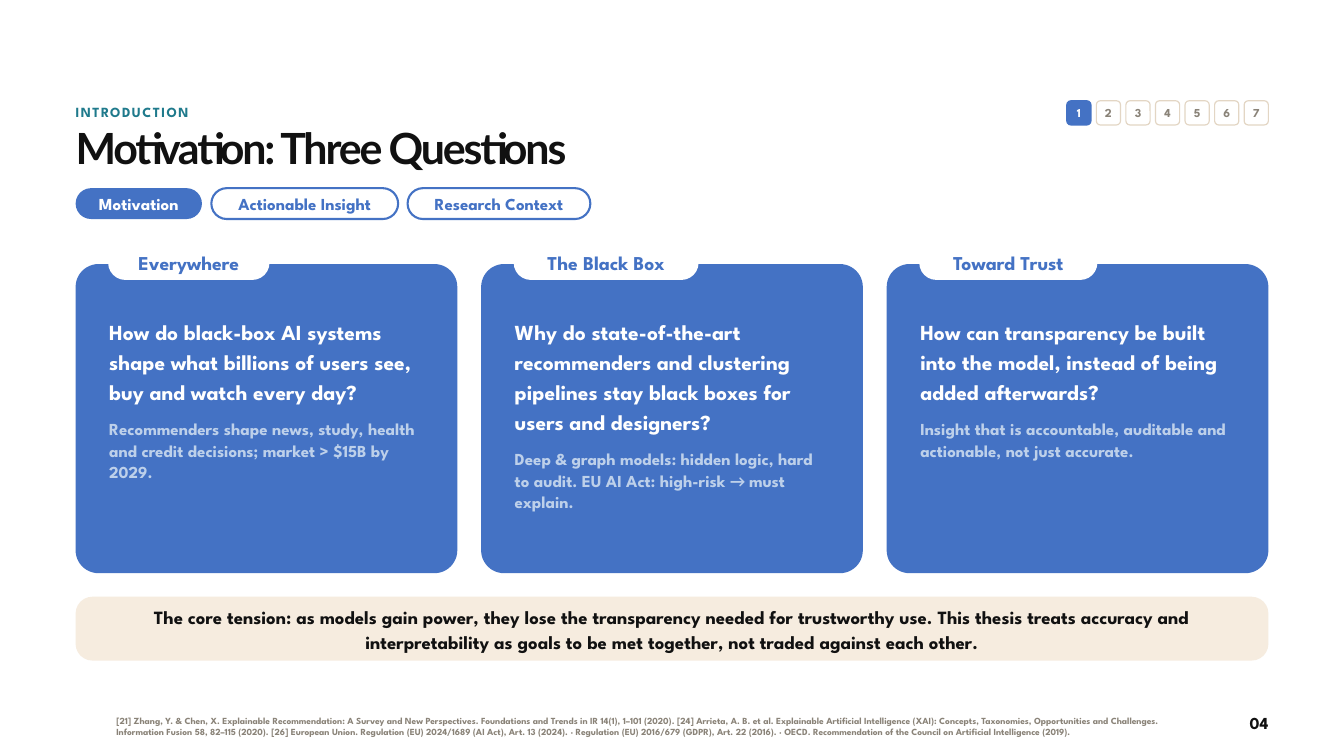
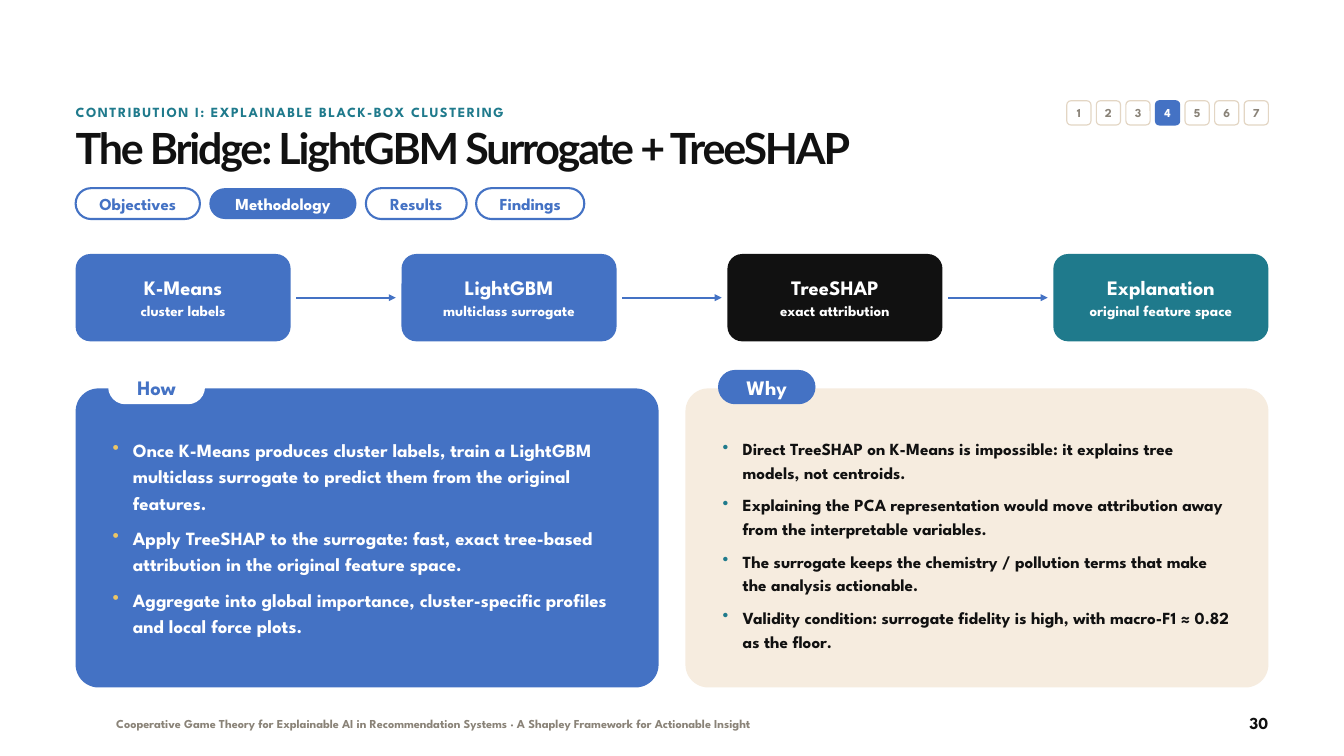
from dataclasses import dataclass

from lxml import etree
from pptx import Presentation
from pptx import util as u
from pptx.dml.color import RGBColor
from pptx.enum import shapes, text
from pptx.oxml import ns

COLORS = {
    "blue": "4472C4", "pale_blue": "BDD0EA", "teal": "1F7A8C", "gold": "ECC665",
    "cream": "F6ECDF", "sand": "E3D6C4", "grey": "8A8378", "ink": "111111", "white": "FFFFFF",
}
SLIDE_WIDTH, SLIDE_HEIGHT = u.Inches(20), u.Inches(11.25)
COLUMNS = 160  # square grid: 160 columns by 90 rows
UNIT = SLIDE_WIDTH / COLUMNS
MARGIN, CONTENT_WIDTH = 9, 142
BODY_FONT, TITLE_FONT, ARROW_FONT = "League Spartan", "Lato", "Calibri"
ARROW = "→ "
SECTIONS = 7
CENTER, RIGHT = text.PP_ALIGN.CENTER, text.PP_ALIGN.RIGHT
MIDDLE = text.MSO_ANCHOR.MIDDLE


def style(size, leading, color, alignment=None, before=0, name=BODY_FONT, tracking=0, bullet=None):
    return {
        "font": {"size": u.Pt(size), "name": name, "bold": True},
        "paragraph": {"line_spacing": u.Pt(leading), "space_before": u.Pt(before),
                      "alignment": alignment},
        "color": color, "tracking": tracking, "bullet": bullet,
    }


KICKER = style(15, 20, "teal", tracking=1.6)
TITLE = style(46, 50.6, "ink", name=TITLE_FONT, tracking=-2.3)
PAGE_NUMBER = style(18, 22, "ink", RIGHT)
REFERENCES = style(10, 12, "grey")
RUNNING_FOOTER = style(13, 16, "grey")
QUESTION = style(23, 32.2, "white")
ANSWER = style(18, 23, "pale_blue", before=14)
TAKEAWAY = style(20, 26, "ink", CENTER)
STEP_NAME = style(22, 25.3, "white", CENTER)
STEP_DETAIL = style(16, 19.2, "white", CENTER, before=3)
HOW_ITEM = style(20, 28, "white", before=10, bullet="gold")
WHY_ITEM = style(18.2, 25.5, "ink", before=9.1, bullet="teal")


@dataclass
class Box:
    """A rectangle in grid units."""
    left: float
    top: float
    width: float
    height: float

    def inner(self, left, top, width, height):
        return Box(self.left + left, self.top + top, width, height)

    def row(self, count, gap):
        width = (self.width - gap * (count - 1)) / count
        return [self.inner(i * (width + gap), 0, width, self.height) for i in range(count)]

    def emu(self):
        return [u.Emu(round(n * UNIT)) for n in (self.left, self.top, self.width, self.height)]


CONTENT = Box(MARGIN, 0, CONTENT_WIDTH, 90)


def rgb(name):
    return RGBColor.from_string(COLORS[name])


def apply(target, values):
    for name, value in values.items():
        setattr(target, name, value)


def add_bullet(paragraph, color):
    properties = paragraph._p.get_or_add_pPr()
    properties.set("marL", str(u.Inches(0.3)))
    properties.set("indent", str(-u.Inches(0.3)))
    bullet_color = etree.SubElement(properties, ns.qn("a:buClr"))
    etree.SubElement(bullet_color, ns.qn("a:srgbClr"), val=COLORS[color])
    etree.SubElement(properties, ns.qn("a:buChar"), char="•")


def write(shape, entries, insets=(0, 0), anchor=text.MSO_ANCHOR.TOP):
    """Fill a shape with (wording, style) paragraphs; insets are inches across and down."""
    frame = shape.text_frame
    across, down = map(u.Inches, insets)
    apply(frame, {"word_wrap": True, "vertical_anchor": anchor, "margin_left": across,
                  "margin_right": across, "margin_top": down, "margin_bottom": down})
    for index, (wording, look) in enumerate(entries):
        paragraph = frame.add_paragraph() if index else frame.paragraphs[0]
        if look["bullet"]:
            add_bullet(paragraph, look["bullet"])
        apply(paragraph, look["paragraph"])
        if index == 0:
            paragraph.space_before = u.Pt(0)
        for piece in filter(None, wording.partition(ARROW)):
            run = paragraph.add_run()
            run.text = piece
            apply(run.font, look["font"])
            run.font.color.rgb = rgb(look["color"])
            if piece == ARROW:
                run.font.name = ARROW_FONT
            if look["tracking"]:
                run._r.get_or_add_rPr().set("spc", str(round(look["tracking"] * 100)))


def add_text(slide, box, entries, anchor=text.MSO_ANCHOR.TOP):
    write(slide.shapes.add_textbox(*box.emu()), entries, anchor=anchor)


def add_rounded(slide, box, radius, fill=None, line=None, line_width=2.25):
    shape = slide.shapes.add_shape(shapes.MSO_SHAPE.ROUNDED_RECTANGLE, *box.emu())
    shape.shadow.inherit = False
    shape.adjustments[0] = min(0.5, radius / min(box.width, box.height))
    for part, color in ((shape.fill, fill), (shape.line.fill, line)):
        if color:
            part.solid()
            part.fore_color.rgb = rgb(color)
        else:
            part.background()
    if line:
        shape.line.width = u.Pt(line_width)
    return shape


def add_pill(slide, box, label, size, color, fill=None, line=None):
    shape = add_rounded(slide, box, box.height / 2, fill, line)
    write(shape, [(label, style(size, size * 1.2, color, CENTER))], (0.05, 0), MIDDLE)


def add_section_tracker(slide, box, current):
    size, step = box.height, (box.width - box.height) / (SECTIONS - 1)
    for number in range(1, SECTIONS + 1):
        fill, line, color = (("blue", "blue", "white") if number == current
                             else ("white", "sand", "grey"))
        badge = add_rounded(slide, box.inner((number - 1) * step, 0, size, size),
                            0.48, fill, line, 1.25)
        write(badge, [(str(number), style(13, 15, color, CENTER))], anchor=MIDDLE)


def add_tabs(slide, box, tabs, active):
    left = 0
    for label, width in tabs:
        look = (("white", "blue", None) if label == active else ("blue", None, "blue"))
        add_pill(slide, box.inner(left, 0, width, box.height), label, 18, *look)
        left += width + 1.12


def add_header(slide, box, kicker, title, section, tabs, active):
    add_text(slide, box.inner(0, 0.16, 113.2, 2.88), [(kicker, KICKER)])
    add_section_tracker(slide, box.inner(box.width - 24, 0, 24, 2.88), section)
    add_text(slide, box.inner(0, 3.04, box.width, 6.4), [(title, TITLE)])
    add_tabs(slide, box.inner(0, 10.4, box.width, 3.68), tabs, active)


def add_page_number(slide, box, number):
    add_text(slide, box.inner(box.width - 9.6, 0.8, 9.6, 2.88), [(number, PAGE_NUMBER)])


def add_panel(slide, box, label, label_width, label_size, fill="blue"):
    """Draw a rounded panel whose label straddles its top edge."""
    add_rounded(slide, box, 2.72, fill)
    color, back = ("blue", "white") if fill == "blue" else ("white", "blue")
    add_pill(slide, box.inner(4, -2.08, label_width, 3.84), label, label_size, color, back, back)


def add_question_card(slide, box, label, label_width, question, answer):
    add_panel(slide, box, label, label_width, 21)
    add_text(slide, box.inner(4, 6, box.width - 8, 27.6), [(question, QUESTION), (answer, ANSWER)])


def add_list_panel(slide, box, label, label_width, fill, items, look):
    add_panel(slide, box, label, label_width, 22, fill)
    add_text(slide, box.inner(4.42, 5.6, box.width - 8.44, 27.6), [(item, look) for item in items])


def add_arrow(slide, start, end, y):
    ends = [u.Emu(round(n * UNIT)) for n in (start, y, end, y)]
    connector = slide.shapes.add_connector(shapes.MSO_CONNECTOR.STRAIGHT, *ends)
    connector.line.color.rgb = rgb("blue")
    connector.line.width = u.Pt(2.5)
    etree.SubElement(connector.line._get_or_add_ln(), ns.qn("a:tailEnd"), type="triangle")
    etree.SubElement(connector._element.spPr, ns.qn("a:effectLst"))


def add_pipeline(slide, box, steps):
    gap, clearance = 13.2, 0.68
    for index, (cell, (name, detail, fill)) in enumerate(zip(box.row(len(steps), gap), steps)):
        if index:
            add_arrow(slide, cell.left - gap + clearance, cell.left - clearance,
                      cell.top + cell.height / 2)
        step = add_rounded(slide, cell, 1.76, fill)
        write(step, [(name, STEP_NAME), (detail, STEP_DETAIL)], (0.1, 0.05), MIDDLE)


HEADER = CONTENT.inner(0, 12, CONTENT_WIDTH, 14.08)
FOOTER = CONTENT.inner(0, 84, CONTENT_WIDTH, 4.96)

QUESTION_CARDS = [
    ("Everywhere", 18.96,
     "How do black-box AI systems shape what billions of users see, buy and watch every day?",
     "Recommenders shape news, study, health and credit decisions; market > $15B by 2029."),
    ("The Black Box", 21.76,
     "Why do state-of-the-art recommenders and clustering pipelines stay black boxes for users "
     "and designers?",
     "Deep & graph models: hidden logic, hard to audit. EU AI Act: high-risk → must explain."),
    ("Toward Trust", 20.96,
     "How can transparency be built into the model, instead of being added afterwards?",
     "Insight that is accountable, auditable and actionable, not just accurate."),
]
CORE_TENSION = (
    "The core tension: as models gain power, they lose the transparency needed for trustworthy "
    "use. This thesis treats accuracy and interpretability as goals to be met together, not "
    "traded against each other.")
CITATIONS = (
    "[21] Zhang, Y. & Chen, X. Explainable Recommendation: A Survey and New Perspectives. "
    "Foundations and Trends in IR 14(1), 1–101 (2020). [24] Arrieta, A. B. et al. Explainable "
    "Artificial Intelligence (XAI): Concepts, Taxonomies, Opportunities and Challenges. "
    "Information Fusion 58, 82–115 (2020). [26] European Union. Regulation (EU) 2024/1689 "
    "(AI Act), Art. 13 (2024). · Regulation (EU) 2016/679 (GDPR), Art. 22 (2016). · OECD. "
    "Recommendation of the Council on Artificial Intelligence (2019).")
THESIS = ("Cooperative Game Theory for Explainable AI in Recommendation Systems · "
          "A Shapley Framework for Actionable Insight")
PIPELINE = [
    ("K-Means", "cluster labels", "blue"),
    ("LightGBM", "multiclass surrogate", "blue"),
    ("TreeSHAP", "exact attribution", "ink"),
    ("Explanation", "original feature space", "teal"),
]
HOW = [
    "Once K-Means produces cluster labels, train a LightGBM multiclass surrogate to predict them "
    "from the original features.",
    "Apply TreeSHAP to the surrogate: fast, exact tree-based attribution in the original feature "
    "space.",
    "Aggregate into global importance, cluster-specific profiles and local force plots.",
]
WHY = [
    "Direct TreeSHAP on K-Means is impossible: it explains tree models, not centroids.",
    "Explaining the PCA representation would move attribution away from the interpretable "
    "variables.",
    "The surrogate keeps the chemistry / pollution terms that make the analysis actionable.",
    "Validity condition: surrogate fidelity is high, with macro-F1 ≈ 0.82 as the floor.",
]


def build_motivation(slide):
    tabs = [("Motivation", 15.04), ("Actionable Insight", 22.24), ("Research Context", 21.76)]
    add_header(slide, HEADER, "INTRODUCTION", "Motivation: Three Questions", 1, tabs, "Motivation")
    cells = CONTENT.inner(0, 31.44, CONTENT_WIDTH, 36.8).row(len(QUESTION_CARDS), 2.84)
    for cell, card in zip(cells, QUESTION_CARDS):
        add_question_card(slide, cell, *card)
    banner = add_rounded(slide, CONTENT.inner(0, 71.04, CONTENT_WIDTH, 7.6), 2, "cream")
    write(banner, [(CORE_TENSION, TAKEAWAY)], (0.4, 0.1), MIDDLE)
    add_text(slide, FOOTER.inner(4.84, 0, 126.8, 4.96), [(CITATIONS, REFERENCES)], MIDDLE)
    add_page_number(slide, FOOTER, "04")


def build_bridge(slide):
    tabs = [("Objectives", 14.8), ("Methodology", 17.52), ("Results", 12), ("Findings", 12.88)]
    add_header(slide, HEADER, "CONTRIBUTION I: EXPLAINABLE BLACK-BOX CLUSTERING",
               "The Bridge: LightGBM Surrogate + TreeSHAP", 4, tabs, "Methodology")
    add_pipeline(slide, CONTENT.inner(0, 30.24, CONTENT_WIDTH, 10.4), PIPELINE)
    how_box, why_box = CONTENT.inner(0, 46.24, CONTENT_WIDTH, 35.6).row(2, 3.2)
    add_list_panel(slide, how_box, "How", 11.28, "blue", HOW, HOW_ITEM)
    add_list_panel(slide, why_box, "Why", 11.36, "cream", WHY, WHY_ITEM)
    add_text(slide, FOOTER.inner(4.84, 1.28, 112, 2.4), [(THESIS, RUNNING_FOOTER)])
    add_page_number(slide, FOOTER, "30")


def main():
    presentation = Presentation()
    apply(presentation, {"slide_width": SLIDE_WIDTH, "slide_height": SLIDE_HEIGHT})
    for build in (build_motivation, build_bridge):
        build(presentation.slides.add_slide(presentation.slide_layouts[6]))
    presentation.save("out.pptx")


if __name__ == "__main__":
    main()
